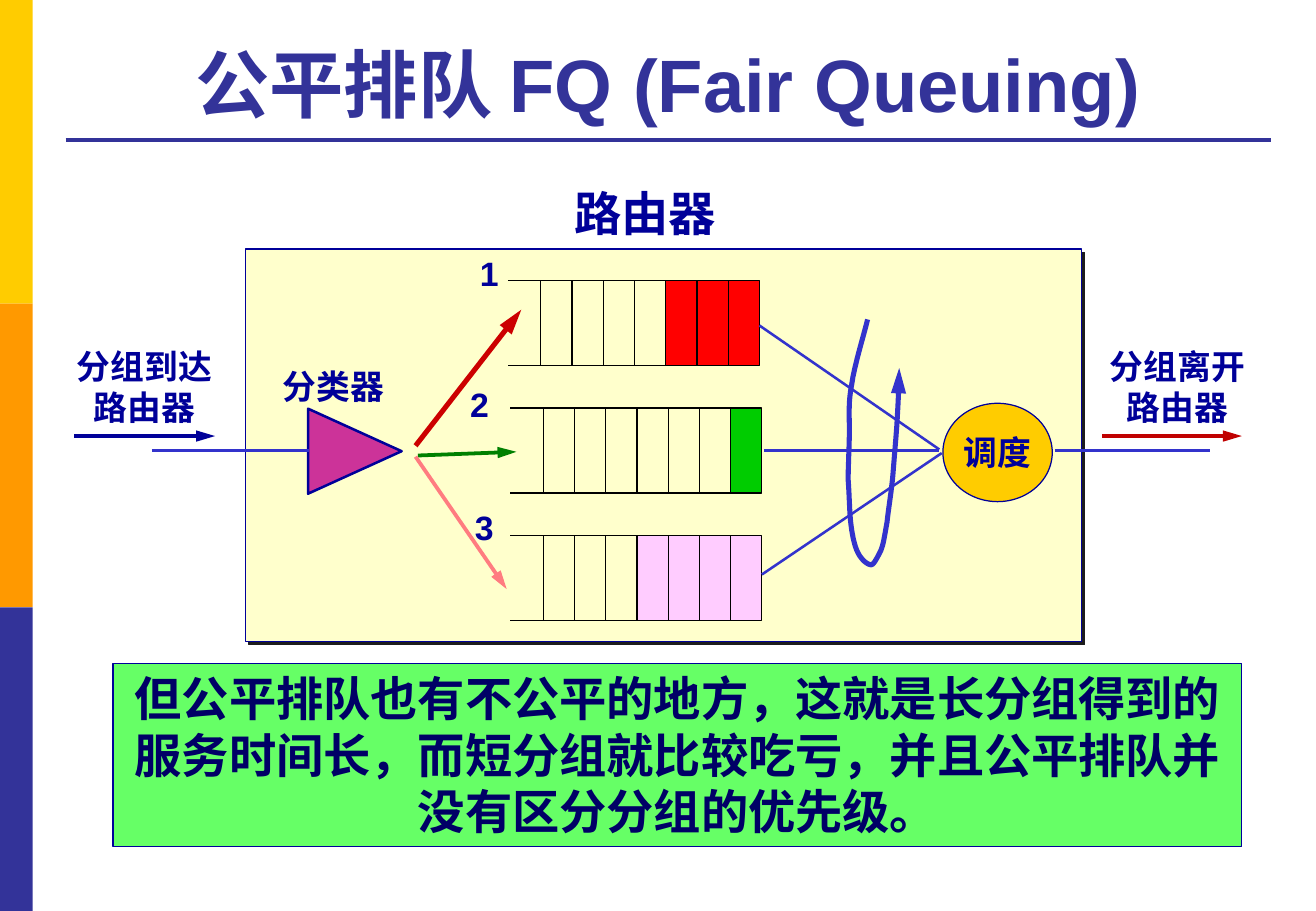
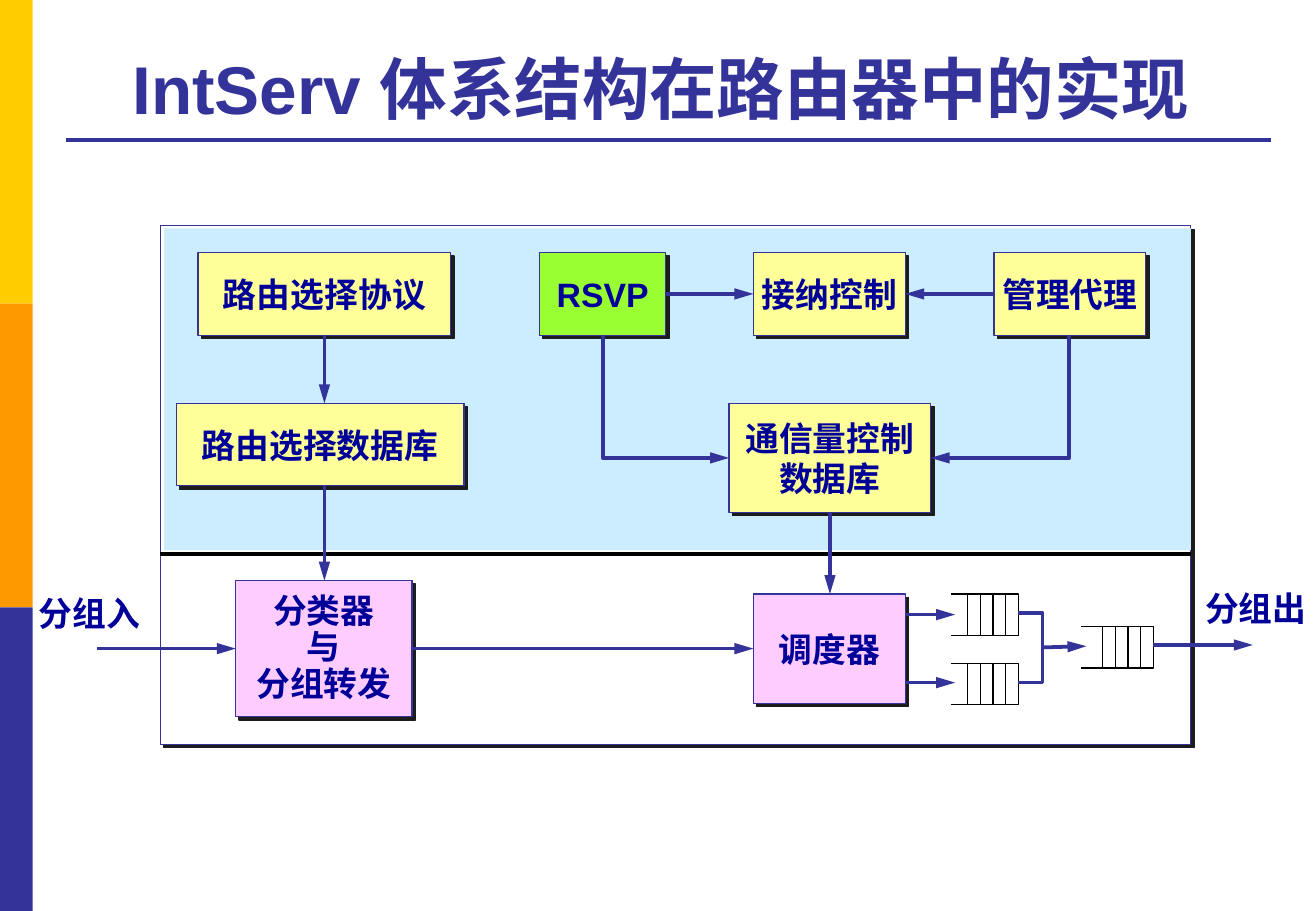
from lxml import etree
from pptx import Presentation
from pptx.dml.color import RGBColor
from pptx.enum import shapes, text
from pptx.oxml.ns import qn
from pptx.util import Inches, Pt

FONT = "Arial"
BLACK = RGBColor(0x00, 0x00, 0x00)
WHITE = RGBColor(0xFF, 0xFF, 0xFF)
INDIGO = RGBColor(0x33, 0x33, 0x99)
NAVY = RGBColor(0x00, 0x00, 0x99)
DEEP_NAVY = RGBColor(0x00, 0x00, 0x66)
BLUE = RGBColor(0x33, 0x33, 0xCC)
GOLD = RGBColor(0xFF, 0xCC, 0x00)
ORANGE = RGBColor(0xFF, 0x99, 0x00)
CREAM = RGBColor(0xFF, 0xFF, 0xCC)
YELLOW = RGBColor(0xFF, 0xFF, 0x99)
PINK = RGBColor(0xFF, 0xCC, 0xFF)
SKY = RGBColor(0xCC, 0xEC, 0xFF)
LIME = RGBColor(0x99, 0xFF, 0x33)
MINT = RGBColor(0x66, 0xFF, 0x66)
MAGENTA = RGBColor(0xCC, 0x33, 0x99)
RED = RGBColor(0xFF, 0x00, 0x00)
DARK_RED = RGBColor(0xCC, 0x00, 0x00)
BRICK = RGBColor(0xC0, 0x00, 0x00)
SALMON = RGBColor(0xFF, 0x7C, 0x80)
GREEN = RGBColor(0x00, 0xCC, 0x00)
DARK_GREEN = RGBColor(0x00, 0x80, 0x00)
SHADOW = "1C1C1C"

RECT = shapes.MSO_SHAPE.RECTANGLE
OVAL = shapes.MSO_SHAPE.OVAL
TRIANGLE = shapes.MSO_SHAPE.ISOSCELES_TRIANGLE
LEFT, CENTER = text.PP_ALIGN.LEFT, text.PP_ALIGN.CENTER
TOP, MIDDLE, BOTTOM = (text.MSO_ANCHOR.TOP, text.MSO_ANCHOR.MIDDLE,
                       text.MSO_ANCHOR.BOTTOM)

BANDS = [GOLD, ORANGE, INDIGO]

# Fair queuing: (right, top, packets waiting, colour)
FQ_QUEUES = [
    (6.25, 2.31, 3, RED),
    (6.27, 3.36, 1, GREEN),
    (6.27, 4.41, 4, PINK),
]
# (points, colour, width, arrow)
FQ_PATHS = [
    ([(0.61, 3.59), (1.77, 3.59)], NAVY, 2.25, True),
    ([(9.07, 3.59), (10.22, 3.59)], BRICK, 2.25, True),
    ([(3.42, 3.67), (4.29, 2.55)], DARK_RED, 3, True),
    ([(3.44, 3.75), (4.25, 3.72)], DARK_GREEN, 2.25, True),
    ([(3.42, 3.76), (4.17, 4.85)], SALMON, 2.25, True),
    ([(1.25, 3.71), (2.54, 3.71)], BLUE, 1.5, False),
    ([(6.25, 2.68), (7.73, 3.7)], BLUE, 1.5, False),
    ([(6.29, 3.71), (7.73, 3.71)], BLUE, 1.5, False),
    ([(6.27, 4.73), (7.75, 3.73)], BLUE, 1.5, False),
    ([(8.68, 3.71), (9.96, 3.71)], BLUE, 1.5, False),
]
# Start point, then two handles and an end point per cubic segment
ROUND_ROBIN = [
    (7.14, 2.63),
    (7.12, 2.72), (7.03, 3.01), (7.01, 3.16),
    (6.98, 3.31), (6.99, 3.41), (6.99, 3.54),
    (6.99, 3.67), (6.98, 3.83), (6.98, 3.95),
    (6.99, 4.08), (6.99, 4.19), (7, 4.29),
    (7.01, 4.39), (7.03, 4.49), (7.06, 4.55),
    (7.09, 4.61), (7.14, 4.65), (7.17, 4.65),
    (7.19, 4.65), (7.22, 4.59), (7.25, 4.53),
    (7.27, 4.48), (7.28, 4.41), (7.3, 4.3),
    (7.31, 4.2), (7.34, 4.02), (7.35, 3.89),
    (7.36, 3.75), (7.37, 3.65), (7.38, 3.51),
    (7.39, 3.36), (7.4, 3.13), (7.4, 3.03),
]
# (lines, box, alignment, size)
FQ_LABELS = [
    (["路由器"], (4.63, 1.47, 1.38, 0.57), LEFT, 28),
    (["分组到达", "路由器"], (0.53, 2.8, 1.32, 0.77), CENTER, 20),
    (["分组离开", "路由器"], (9.03, 2.8, 1.32, 0.77), CENTER, 20),
    (["分类器"], (2.23, 2.96, 1.04, 0.44), LEFT, 20),
    (["1"], (3.85, 2.03, 0.42, 0.43), LEFT, 20),
    (["2"], (3.77, 3.11, 0.42, 0.43), LEFT, 20),
    (["3"], (3.81, 4.12, 0.42, 0.43), LEFT, 20),
]
FQ_REMARK = ("但公平排队也有不公平的地方，这就是长分组得到的服务时间长，"
             "而短分组就比较吃亏，并且公平排队并没有区分分组的优先级。")

# IntServ: (lines, box, fill, line spacing)
MODULES = [
    (["路由选择协议"], (1.63, 2.08, 2.08, 0.68), YELLOW, 1),
    (["路由选择数据库"], (1.45, 3.32, 2.37, 0.68), YELLOW, 1),
    (["RSVP"], (4.44, 2.08, 1.04, 0.68), LIME, 1),
    (["接纳控制"], (6.2, 2.08, 1.25, 0.68), YELLOW, 1),
    (["管理代理"], (8.18, 2.08, 1.25, 0.68), YELLOW, 1),
    (["通信量控制", "数据库"], (6, 3.32, 1.66, 0.9), YELLOW, 1),
    (["分类器", "与", "分组转发"], (1.94, 4.78, 1.45, 1.12), PINK, 0.9),
    (["调度器"], (6.2, 4.89, 1.25, 0.9), PINK, 1),
]
# (left, right, top)
OUTPUT_QUEUES = [(7.83, 8.38, 4.89), (7.83, 8.38, 5.46), (8.9, 9.49, 5.16)]
FLOWS = [
    [(2.67, 2.76), (2.67, 3.32)],
    [(2.67, 4), (2.67, 4.78)],
    [(5.48, 2.42), (6.2, 2.42)],
    [(8.18, 2.42), (7.45, 2.42)],
    [(4.96, 2.76), (4.96, 3.77), (6, 3.77)],
    [(8.8, 2.76), (8.8, 3.77), (7.66, 3.77)],
    [(6.83, 4.22), (6.83, 4.89)],
    [(0.8, 5.34), (1.94, 5.34)],
    [(3.4, 5.34), (6.2, 5.34)],
    [(7.45, 5.06), (7.86, 5.06)],
    [(7.45, 5.62), (7.86, 5.62)],
    [(8.58, 5.33), (8.94, 5.32)],
    [(9.49, 5.31), (10.31, 5.31)],
]
QUEUE_MERGE = [(8.38, 5.05), (8.58, 5.05), (8.58, 5.62), (8.38, 5.62)]
INTSERV_LABELS = [
    (["分组入"], (0.22, 4.83, 1.04, 0.44), LEFT, 20),
    (["分组出"], (9.82, 4.79, 1.04, 0.44), LEFT, 20),
]


def inches(values):
    return [Inches(v) for v in values]


def write(sp, lines, size=20, color=NAVY, align=CENTER, anchor=MIDDLE,
          wrap=False, spacing=1):
    tf = sp.text_frame
    frame_format = {"word_wrap": wrap, "vertical_anchor": anchor,
                    "auto_size": text.MSO_AUTO_SIZE.NONE}
    for name, value in frame_format.items():
        setattr(tf, name, value)
    for i, line in enumerate(lines):
        p = tf.add_paragraph() if i else tf.paragraphs[0]
        p.alignment, p.line_spacing = align, spacing
        r = p.add_run()
        r.text = line
        for name, value in {"name": FONT, "size": Pt(size), "bold": True}.items():
            setattr(r.font, name, value)
        r.font.color.rgb = color


def add_block(slide, box, fill, line=None, width=0.75, kind=RECT, shadow=False):
    sp = slide.shapes.add_shape(kind, *inches(box))
    sp.fill.solid()
    sp.fill.fore_color.rgb = fill
    if line is None:
        sp.line.fill.background()
    else:
        sp.line.color.rgb, sp.line.width = line, Pt(width)
    sp.shadow.inherit = False
    if shadow:
        effects = sp.element.spPr.find(qn("a:effectLst"))
        outer = etree.SubElement(effects, qn("a:outerShdw"), blurRad="0",
                                 dist=str(Pt(2.8)), dir="2700000",
                                 algn="ctr", rotWithShape="0")
        etree.SubElement(outer, qn("a:srgbClr"), val=SHADOW)
    return sp


def add_path(slide, points, color=BLACK, width=0.75, arrow=False):
    """Draw a connector through two points, or an open outline through more."""
    start, *rest = [inches(pt) for pt in points]
    if len(rest) == 1:
        sp = slide.shapes.add_connector(shapes.MSO_CONNECTOR.STRAIGHT,
                                        *start, *rest[0])
    else:
        builder = slide.shapes.build_freeform(*start)
        builder.add_line_segments(rest, close=False)
        sp = builder.convert_to_shape()
        sp.fill.background()
    sp.line.color.rgb, sp.line.width = color, Pt(width)
    if arrow:
        etree.SubElement(sp.element.spPr.find(qn("a:ln")), qn("a:tailEnd"),
                         type="triangle", w="med", len="lg")
    etree.SubElement(sp.element.spPr, qn("a:effectLst"))


def add_queue(slide, left, right, top, height, pitch, dividers,
              waiting=0, fill=None):
    bottom = top + height
    if waiting:
        add_block(slide, (right - waiting * pitch, top, waiting * pitch, height),
                  fill)
    add_path(slide, [(left, top), (right, top), (right, bottom), (left, bottom)])
    for k in range(1, dividers + 1):
        x = right - k * pitch
        add_path(slide, [(x, top), (x, bottom)])


def add_labels(slide, labels):
    for lines, box, align, size in labels:
        sp = slide.shapes.add_textbox(*inches(box))
        write(sp, lines, size, align=align, anchor=TOP)


def sample_cubics(pts, steps=8):
    curve = [pts[0]]
    for i in range(0, len(pts) - 1, 3):
        for t in (n / steps for n in range(1, steps + 1)):
            weights = ((1 - t) ** 3, 3 * t * (1 - t) ** 2,
                       3 * t ** 2 * (1 - t), t ** 3)
            curve.append(tuple(sum(w * v for w, v in zip(weights, axis))
                               for axis in zip(*pts[i:i + 4])))
    return curve


def new_slide(prs, title, size):
    """Add a slide with the side bands, the title and its rule."""
    slide = prs.slides.add_slide(prs.slide_layouts[5])
    for i, color in enumerate(BANDS):
        add_block(slide, (0, 2.5 * i, 0.27, 2.5), color)
    add_path(slide, [(0.54, 1.15), (10.46, 1.15)], INDIGO, 2.25)
    sp = slide.shapes.title
    sp.left, sp.top, sp.width, sp.height = inches((0.55, 0.21, 9.9, 0.89))
    write(sp, [title], size, INDIGO, anchor=BOTTOM, wrap=True)
    return slide


def build_fair_queuing(prs):
    slide = new_slide(prs, "公平排队 FQ (Fair Queuing)", 44)
    remark = add_block(slide, (0.93, 5.46, 9.29, 1.51), MINT, NAVY)
    write(remark, [FQ_REMARK], 28, DEEP_NAVY, anchor=TOP, wrap=True)
    add_block(slide, (2.02, 2.05, 6.88, 3.23), CREAM, NAVY, shadow=True)
    for right, top, waiting, fill in FQ_QUEUES:
        add_queue(slide, right - 2.07, right, top, 0.7, 0.257, 7, waiting, fill)
    classifier = add_block(slide, (2.57, 3.33, 0.7, 0.77), MAGENTA, NAVY, 1.5,
                           TRIANGLE)
    classifier.rotation = 90
    scheduler = add_block(slide, (7.76, 3.32, 0.9, 0.81), GOLD, NAVY, kind=OVAL)
    write(scheduler, ["调度"])
    for path in FQ_PATHS:
        add_path(slide, *path)
    add_path(slide, sample_cubics(ROUND_ROBIN), BLUE, 3, True)
    add_labels(slide, FQ_LABELS)


def build_intserv(prs):
    slide = new_slide(prs, "IntServ 体系结构在路由器中的实现 ", 40)
    add_block(slide, (1.32, 1.86, 8.48, 4.27), WHITE, INDIGO, shadow=True)
    add_block(slide, (1.35, 1.88, 8.45, 2.65), SKY)
    for lines, box, fill, spacing in MODULES:
        sp = add_block(slide, box, fill, INDIGO, shadow=True)
        write(sp, lines, spacing=spacing)
    for left, right, top in OUTPUT_QUEUES:
        add_queue(slide, left, right, top, 0.34, 0.104, 4)
    add_path(slide, [(1.32, 4.56), (9.8, 4.56)], BLACK, 2.25)
    add_path(slide, QUEUE_MERGE, INDIGO, 2.25)
    for points in FLOWS:
        add_path(slide, points, INDIGO, 2.25, True)
    add_labels(slide, INTSERV_LABELS)


def main():
    prs = Presentation()
    prs.slide_width, prs.slide_height = inches((10.83, 7.5))
    build_fair_queuing(prs)
    build_intserv(prs)
    prs.save("out.pptx")


if __name__ == "__main__":
    main()
